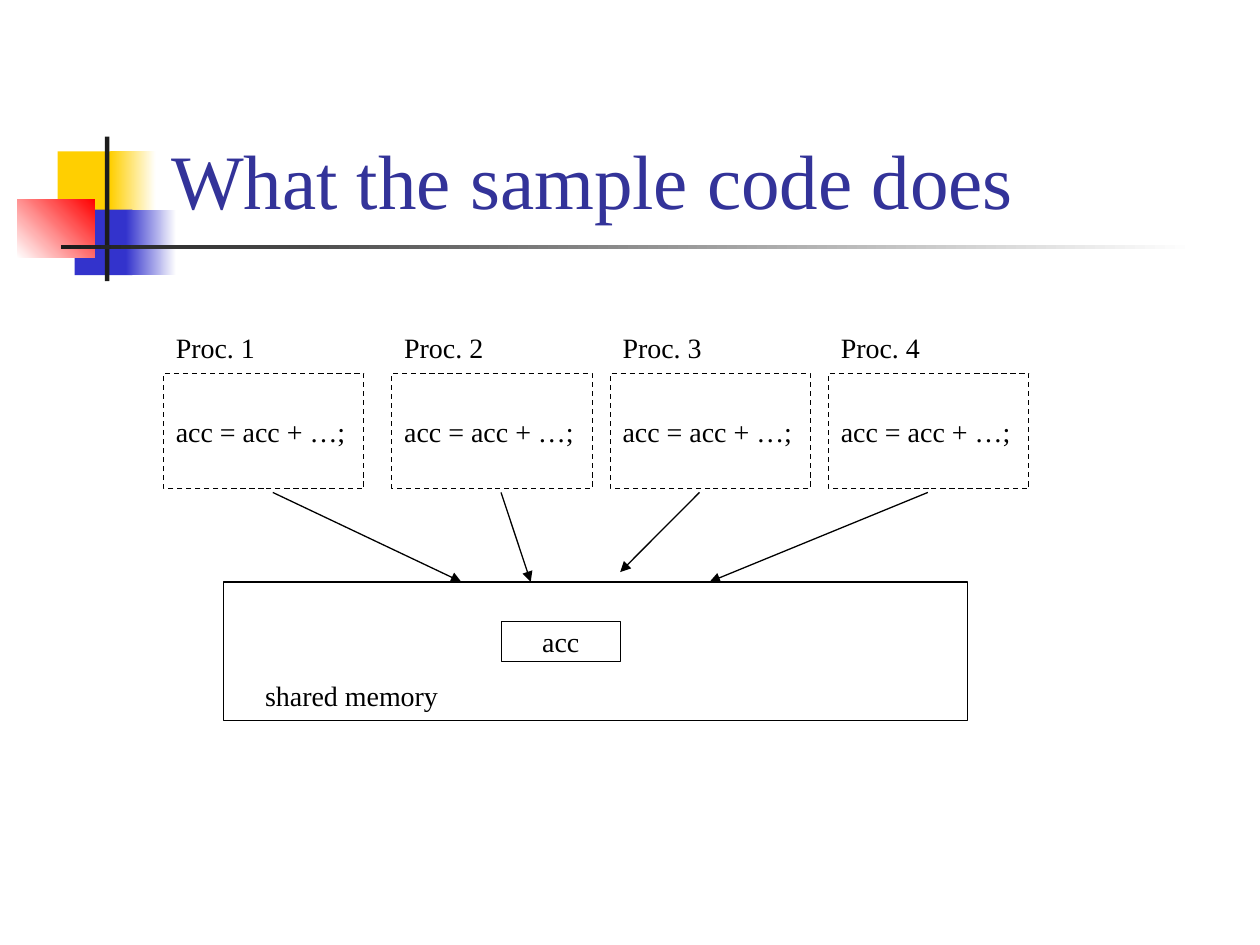
from lxml import etree
from pptx import Presentation
from pptx import util as u
from pptx.dml.color import RGBColor
from pptx.enum import dml, shapes, text
from pptx.oxml import ns

color = RGBColor.from_string
Pt = u.Pt
BLACK = "000000"
TOP, MIDDLE, BOTTOM = text.MSO_ANCHOR.TOP, text.MSO_ANCHOR.MIDDLE, text.MSO_ANCHOR.BOTTOM

presentation = Presentation()
presentation.slide_width, presentation.slide_height = Pt(720), Pt(540)
slide = presentation.slides.add_slide(presentation.slide_layouts[6])


def add_box(left, top, width, height, colors=(), angle=0, outline=None):
    shape = slide.shapes.add_shape(
        shapes.MSO_SHAPE.RECTANGLE, Pt(left), Pt(top), Pt(width), Pt(height))
    shape.shadow.inherit = False
    if len(colors) == 2:
        shape.fill.gradient()
        shape.fill.gradient_angle = angle
        for stop, value in zip(shape.fill.gradient_stops, colors):
            stop.color.rgb = color(value)
    elif colors:
        shape.fill.solid()
        shape.fill.fore_color.rgb = color(colors[0])
    else:
        shape.fill.background()
    if outline:
        shape.line.color.rgb = color(outline)
        shape.line.width = Pt(0.75)
    else:
        shape.line.fill.background()
    return shape


def write(words, left, top, width, height, shape=None, size=16, ink=BLACK,
          anchor=TOP, align=text.PP_ALIGN.LEFT, wrap=False):
    shape = shape or slide.shapes.add_textbox(Pt(left), Pt(top), Pt(width), Pt(height))
    frame = shape.text_frame
    frame.word_wrap = wrap
    frame.vertical_anchor = anchor
    paragraph = frame.paragraphs[0]
    paragraph.alignment = align
    run = paragraph.add_run()
    run.text = words
    run.font.name = "Times New Roman"
    run.font.size = Pt(size)
    run.font.color.rgb = color(ink)


ornaments = [
    (33, 86.5, 34.5, 37.5, ["FFCF01"], 0),
    (63, 86.5, 26, 37.5, ["FFCF01", "FFFFFF"], 0),
    (42.7, 119.8, 33, 37.5, ["3333CC"], 0),
    (72, 119.8, 28.8, 37.5, ["3333CC", "FFFFFF"], 0),
    (9.8, 113.8, 44.5, 33.5, ["FFFFFF", "FF0000"], 45),
    (60, 78, 2.5, 82.7, ["1C1C1C"], 0),
    (34.8, 140.1, 648, 2.5, ["1C1C1C", "FFFFFF"], 0),
]
for ornament in ornaments:
    add_box(*ornament)

write("What the sample code does", 90.7, 16.6, 613.4, 115.2,
      size=44, ink="333399", anchor=BOTTOM, wrap=True)

for number, left in enumerate([93.4, 223.9, 348.7, 473.4], start=1):
    place = (left, 213.3, 114.5, 65.8)
    process = add_box(*place, outline=BLACK)
    process.line.dash_style = dml.MSO_LINE.DASH
    write("acc = acc + …;", *place, shape=process, anchor=MIDDLE, wrap=True)
    write(f"Proc. {number}", left, 185.2, 59.8, 26.6)

add_box(127.6, 332.5, 425.3, 79.4, outline=BLACK)
write("shared memory", 144.4, 384, 113.8, 26.6)
place = (286.4, 355.2, 68.2, 22.7)
variable = add_box(*place, outline=BLACK)
write("acc", *place, shape=variable, anchor=MIDDLE, align=text.PP_ALIGN.CENTER)

arrows = [
    (155.9, 263.6, 332.5),
    (286.3, 303.3, 332.5),
    (399.7, 354.4, 326.9),
    (530.2, 405.5, 332.5),
]
for start_x, end_x, end_y in arrows:
    arrow = slide.shapes.add_connector(
        shapes.MSO_CONNECTOR.STRAIGHT, Pt(start_x), Pt(281.4), Pt(end_x), Pt(end_y))
    arrow.line.color.rgb = color(BLACK)
    arrow.line.width = Pt(0.75)
    etree.SubElement(arrow.line._get_or_add_ln(), ns.qn("a:tailEnd"), type="triangle")
    etree.SubElement(arrow._element.spPr, ns.qn("a:effectLst"))

presentation.save("out.pptx")
